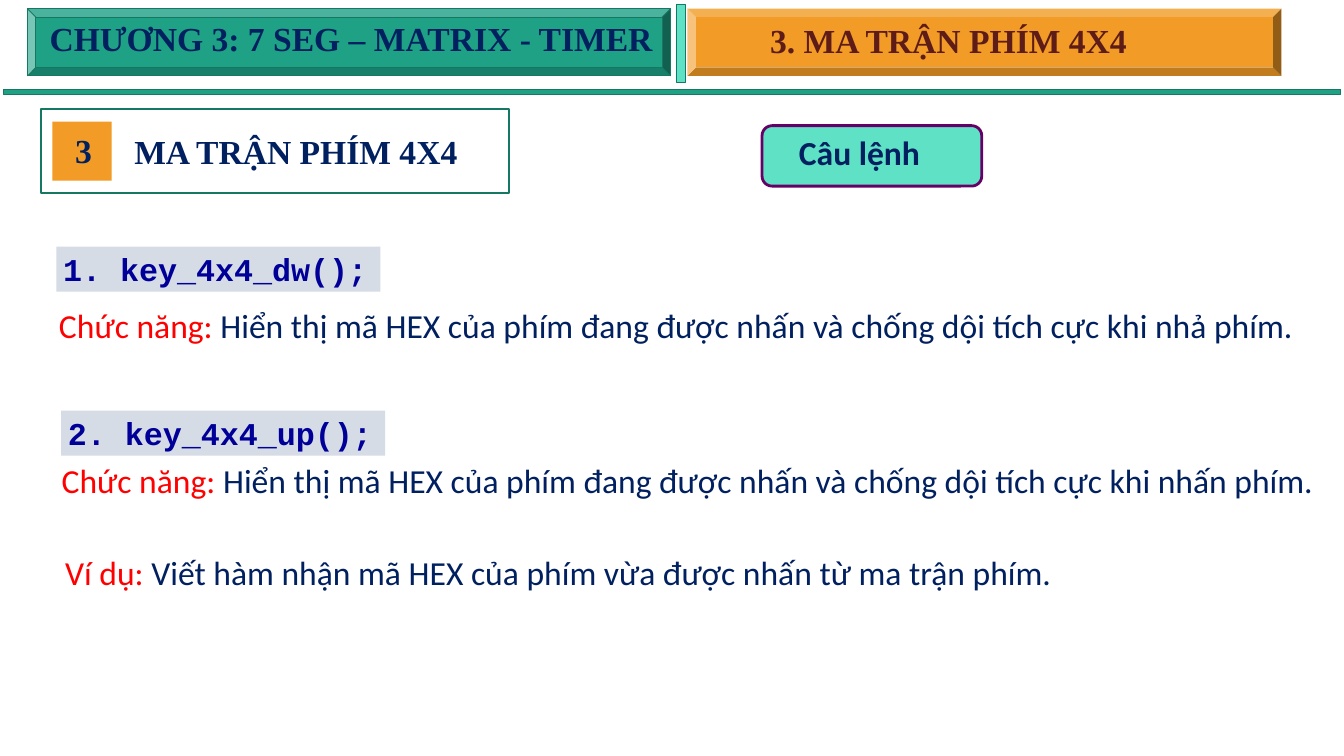
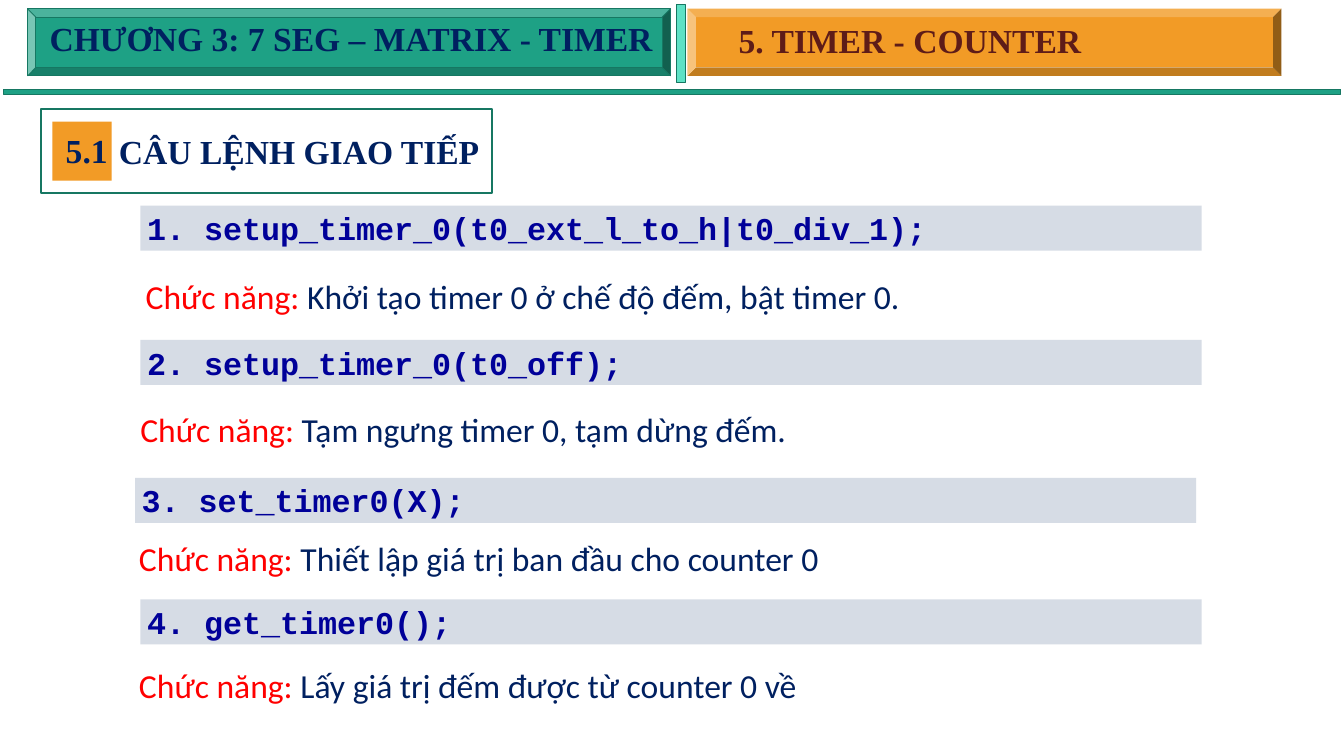
from pptx import Presentation
from pptx import util as u
from pptx.dml.color import RGBColor
from pptx.enum import shapes, text

NAVY = RGBColor(0x00, 0x20, 0x60)
GREEN = RGBColor(0x1E, 0xA1, 0x85)
PINE = RGBColor(0x16, 0x77, 0x62)
MINT = RGBColor(0x5E, 0xE1, 0xC5)
GOLD = RGBColor(0xF2, 0x9B, 0x26)
BROWN = RGBColor(0x5E, 0x1C, 0x18)
PLUM = RGBColor(0x66, 0x00, 0x66)
GREY = RGBColor(0xD6, 0xDC, 0xE5)
BLUE = RGBColor(0x00, 0x00, 0x99)
RED = RGBColor(0xFF, 0x00, 0x00)

SERIF, SANS, MONO = "Times New Roman", "Calibri", "Courier New"
KIND = shapes.MSO_SHAPE
ROW = 0.71
BAR = 0.67
WIDE = 19.26
CHAPTER = "CHƯƠNG 3: 7 SEG – MATRIX - TIMER"


def shape(slide, kind, box, fill=None, line=None, weight=1):
    """Add a preset shape with a plain fill and an optional outline."""
    item = slide.shapes.add_shape(kind, *map(u.Inches, box))
    item.shadow.inherit = False
    if fill is None:
        item.fill.background()
    else:
        item.fill.solid()
        item.fill.fore_color.rgb = fill
    if line is None:
        item.line.fill.background()
    else:
        item.line.color.rgb = line
        item.line.width = u.Pt(weight)
    return item


def write(item, runs, font, size=36, bold=False):
    """Fill a shape with one left-aligned paragraph of coloured runs."""
    frame = item.text_frame
    frame.word_wrap = True
    frame.auto_size = text.MSO_AUTO_SIZE.NONE
    frame.vertical_anchor = text.MSO_ANCHOR.TOP
    para = frame.paragraphs[0]
    para.alignment = text.PP_ALIGN.LEFT
    for words, color in runs:
        run = para.add_run()
        run.text = words
        run.font.name = font
        run.font.size = u.Pt(size)
        run.font.bold = bold
        run.font.color.rgb = color
    return para


def label(slide, box, runs, font=SERIF, bold=True):
    """Add a text box holding one line."""
    item = slide.shapes.add_textbox(*map(u.Inches, box))
    write(item, runs, font, bold=bold)


def header(slide, topic, inset):
    """Draw the chapter band, the topic band with its title, and the rules."""
    shape(slide, KIND.MATH_MINUS, (-3.54, 1.2, 27.08, 0.33), GREEN, PINE)
    left, top, width, height = 0.41, 0.13, 9.57, 1
    shape(slide, KIND.BEVEL, (left, top, width, height), GREEN, PINE)
    label(slide, (left + 0.23, top + 0.09, 12.25, ROW), [(CHAPTER, NAVY)])
    shape(slide, KIND.MATH_MINUS, (10.05, -1.82, 0.17, 4.93), MINT, PINE)
    left = 10.23
    shape(slide, KIND.BEVEL, (left, top, 8.84, height), GOLD)
    title = slide.shapes.title
    title.left, title.top = u.Inches(left + inset), u.Inches(top + 0.12)
    title.width, title.height = u.Inches(7.42), u.Inches(ROW)
    write(title, [(topic, BROWN)], SERIF, bold=True)
    title.element.getparent().append(title.element)


def section(slide, box, number, shift, name, indent):
    """Draw the framed section name with its number tile."""
    left, top, width, height = box
    shape(slide, KIND.RECTANGLE, (left + 0.17, top + 0.19, 0.88, 0.88), GOLD)
    shape(slide, KIND.RECTANGLE, box, line=PINE, weight=2)
    label(slide, (left + indent, top + 0.28, width - indent, ROW), [(name, NAVY)])
    label(slide, (left + shift, top + 0.27, 1.2, ROW), [(number, NAVY)])


def badge(slide, box, words):
    """Draw the rounded badge with its caption."""
    left, top, width, height = box
    shape(slide, KIND.ROUNDED_RECTANGLE, box, MINT, PLUM, 3)
    label(slide, (left + 0.45, top + 0.04, width - 0.45, ROW), [(words, NAVY)], SANS)


def code(slide, left, top, width, words):
    """Draw a grey bar with a line of code."""
    bar = shape(slide, KIND.RECTANGLE, (left, top, width, BAR), GREY)
    write(bar, [(words, BLUE)], MONO, 34, True).space_after = u.Pt(6)


def note(slide, left, top, words, lead="Chức năng: "):
    """Write an explanation after its red lead."""
    label(slide, (left, top, WIDE, ROW), [(lead, RED), (words, NAVY)], SANS, False)


def keypad(slide):
    """Build the slide on the key matrix commands."""
    header(slide, "3. MA TRẬN PHÍM 4X4", 1.13)
    section(slide, (0.61, 1.62, 6.97, 1.25), "3", 0.41, "MA TRẬN PHÍM 4X4", 1.29)
    badge(slide, (11.34, 1.87, 3.27, 0.9), "Câu lệnh")
    ends = "Hiển thị mã HEX của phím đang được nhấn và chống dội tích cực khi "
    code(slide, 0.84, 3.67, 4.82, "1. key_4x4_dw();")
    note(slide, 0.78, 4.49, ends + "nhả phím.")
    code(slide, 0.91, 6.11, 4.82, "2. key_4x4_up();")
    note(slide, 0.82, 6.79, ends + "nhấn phím.")
    note(slide, 0.87, 8.17,
         "Viết hàm nhận mã HEX của phím vừa được nhấn từ ma trận phím.", "Ví dụ: ")


def timer(slide):
    """Build the slide on the timer commands."""
    header(slide, "5. TIMER - COUNTER", 0.66)
    section(slide, (0.61, 1.62, 6.71, 1.25), "5.1", 0.27, "CÂU LỆNH GIAO TIẾP", 1.06)
    rows = [
        (2.09, 3.06, "1. setup_timer_0(t0_ext_l_to_h|t0_div_1);",
         2.07, 4.05, "Khởi tạo timer 0 ở chế độ đếm, bật timer 0."),
        (2.09, 5.06, "2. setup_timer_0(t0_off);",
         1.99, 6.03, "Tạm ngưng timer 0, tạm dừng đếm."),
        (2.01, 7.11, "3. set_timer0(X);",
         1.97, 7.96, "Thiết lập giá trị ban đầu cho counter 0"),
        (2.09, 8.92, "4. get_timer0();",
         1.97, 9.84, "Lấy giá trị đếm được từ counter 0 về"),
    ]
    for left, top, call, start, base, words in rows:
        code(slide, left, top, 15.79, call)
        note(slide, start, base, words)


def main():
    """Build and save the deck."""
    deck = Presentation()
    deck.slide_width, deck.slide_height = u.Inches(20), u.Inches(11.25)
    for build in (keypad, timer):
        build(deck.slides.add_slide(deck.slide_layouts[5]))
    deck.save("out.pptx")


if __name__ == "__main__":
    main()
